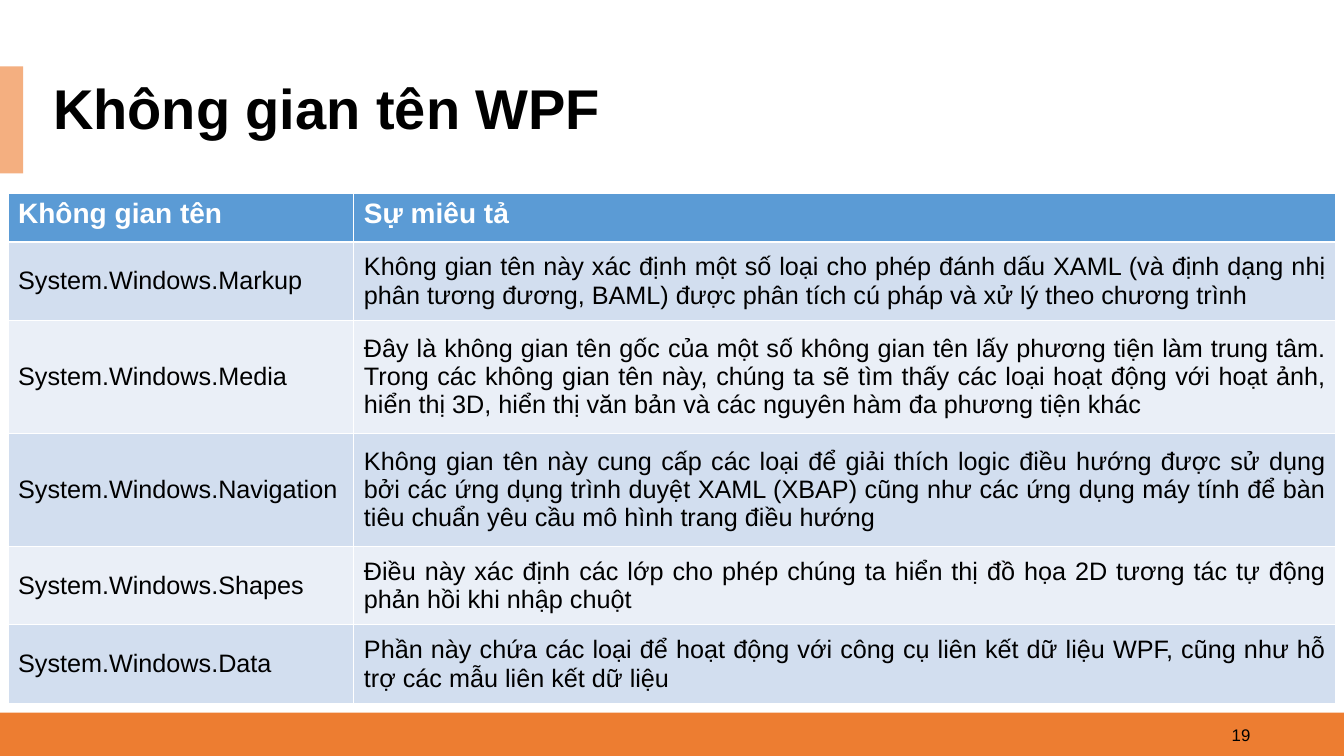
from pptx import Presentation
from pptx.dml.color import RGBColor
from pptx.enum.shapes import MSO_SHAPE as SHAPE
from pptx.enum.text import MSO_ANCHOR as ANCHOR, PP_ALIGN as ALIGN
from pptx.util import Inches, Pt

prs = Presentation()
prs.slide_width, prs.slide_height = Inches(13.33), Inches(7.5)
W, H = 13.33, 7.5
s = prs.slides.add_slide(prs.slide_layouts[6])


def paint(fill, color):
    fill.solid()
    fill.fore_color.rgb = RGBColor.from_string(color)


def write(tf, text, size, color="000000", bold=False, align=ALIGN.LEFT):
    tf.word_wrap = True
    p = tf.paragraphs[0]
    p.text = text
    p.alignment = align
    p.font.name = "Arial"
    p.font.size = Pt(size)
    p.font.bold = bold
    paint(p.font.fill, color)
    return p


bars = [
    (0, 7.07, W, H - 7.07, "ED7D31"),
    (0, 0.66, 0.23, 1.06, "F4AF80"),
]
for x, y, w, h, color in bars:
    sp = s.shapes.add_shape(SHAPE.RECTANGLE, Inches(x), Inches(y), Inches(w), Inches(h))
    sp.shadow.inherit = False
    paint(sp.fill, color)
    sp.line.fill.background()

labels = [
    (9.5, 7.09, 3, 0.4, "19", 12, False, ALIGN.RIGHT),
    (0.43, 0.79, W - 0.43, 0.63, "Không gian tên WPF", 40, True, ALIGN.LEFT),
]
for x, y, w, h, text, size, bold, align in labels:
    tf = s.shapes.add_textbox(Inches(x), Inches(y), Inches(w), Inches(h)).text_frame
    tf.vertical_anchor = ANCHOR.MIDDLE
    p = write(tf, text, size, bold=bold, align=align)
p.line_spacing = 0.9

rows = [
    ("Không gian tên", "Sự miêu tả"),
    ("System.Windows.Markup",
     "Không gian tên này xác định một số loại cho phép đánh dấu XAML (và định dạng nhị "
     "phân tương đương, BAML) được phân tích cú pháp và xử lý theo chương trình"),
    ("System.Windows.Media",
     "Đây là không gian tên gốc của một số không gian tên lấy phương tiện làm trung tâm. "
     "Trong các không gian tên này, chúng ta sẽ tìm thấy các loại hoạt động với hoạt ảnh, "
     "hiển thị 3D, hiển thị văn bản và các nguyên hàm đa phương tiện khác"),
    ("System.Windows.Navigation",
     "Không gian tên này cung cấp các loại để giải thích logic điều hướng được sử dụng "
     "bởi các ứng dụng trình duyệt XAML (XBAP) cũng như các ứng dụng máy tính để bàn "
     "tiêu chuẩn yêu cầu mô hình trang điều hướng"),
    ("System.Windows.Shapes",
     "Điều này xác định các lớp cho phép chúng ta hiển thị đồ họa 2D tương tác tự động "
     "phản hồi khi nhập chuột"),
    ("System.Windows.Data",
     "Phần này chứa các loại để hoạt động với công cụ liên kết dữ liệu WPF, cũng như hỗ "
     "trợ các mẫu liên kết dữ liệu"),
]
col_widths = [3.43, 9.74]
row_heights = [0.48, 0.78, 1.12, 1.12, 0.78, 0.78]
table = s.shapes.add_table(len(rows), len(col_widths), Inches(0.08), Inches(1.92),
                           Inches(sum(col_widths)), Inches(sum(row_heights))).table
for col, width in zip(table.columns, col_widths):
    col.width = Inches(width)
for i, (row, height) in enumerate(zip(rows, row_heights)):
    table.rows[i].height = Inches(height)
    for j, text in enumerate(row):
        cell = table.cell(i, j)
        if i == 0:
            paint(cell.fill, "5B9BD5")
            write(cell.text_frame, text, 20, "FFFFFF", True)
        else:
            paint(cell.fill, "D2DEEF" if i % 2 else "EAEFF7")
            cell.vertical_anchor = ANCHOR.MIDDLE
            write(cell.text_frame, text, 18, align=ALIGN.JUSTIFY if j else ALIGN.LEFT)

prs.save("out.pptx")
